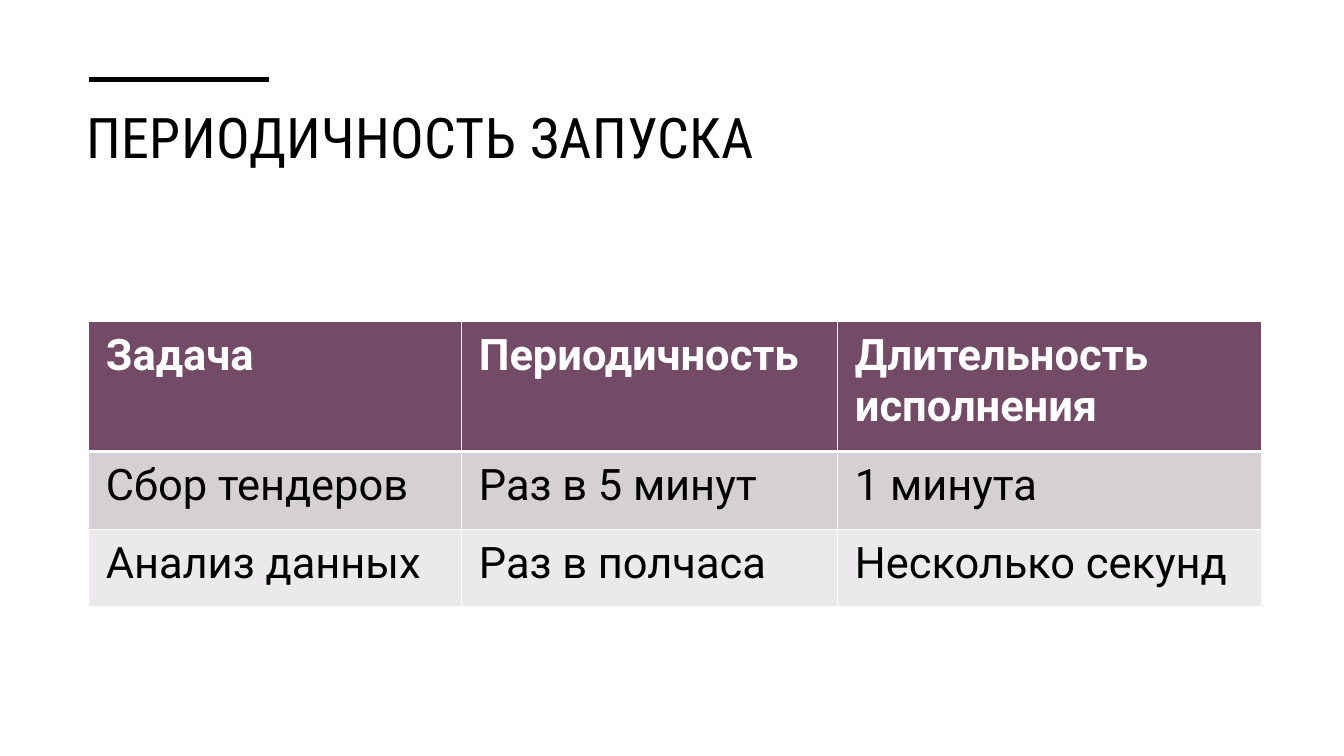
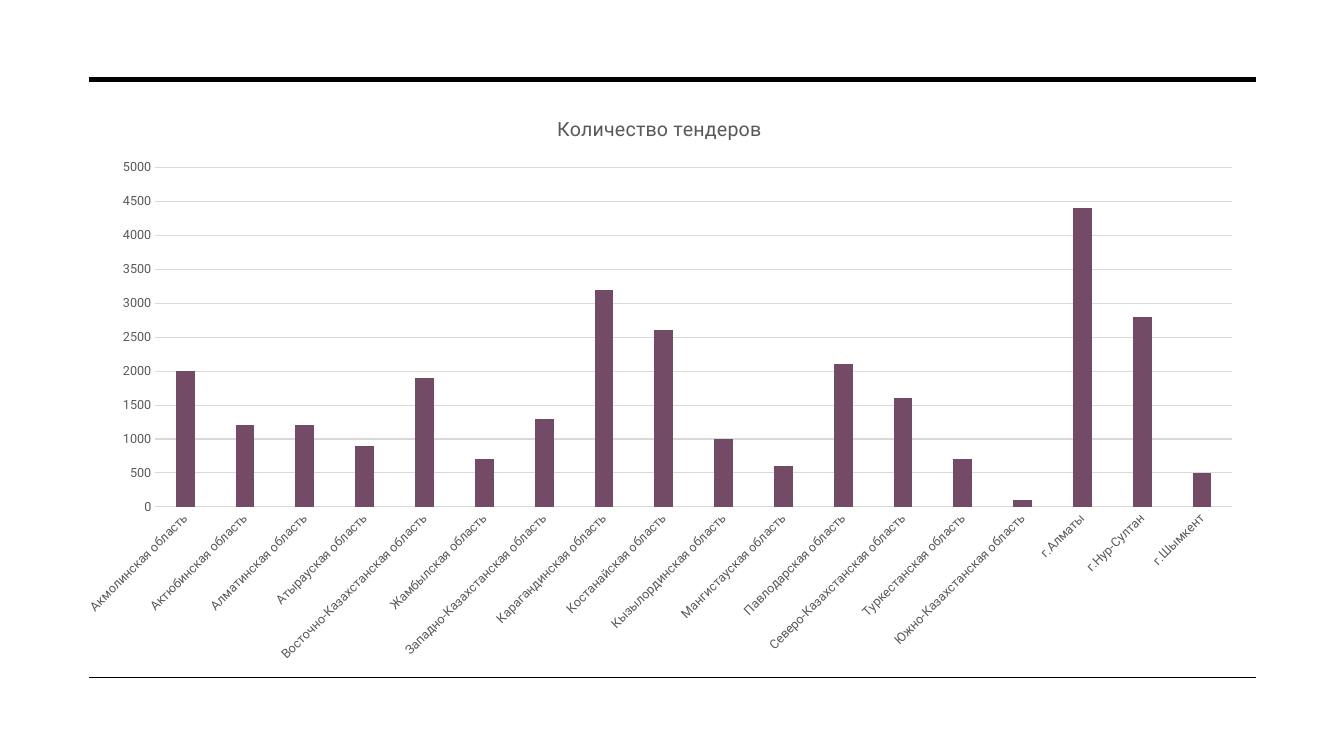
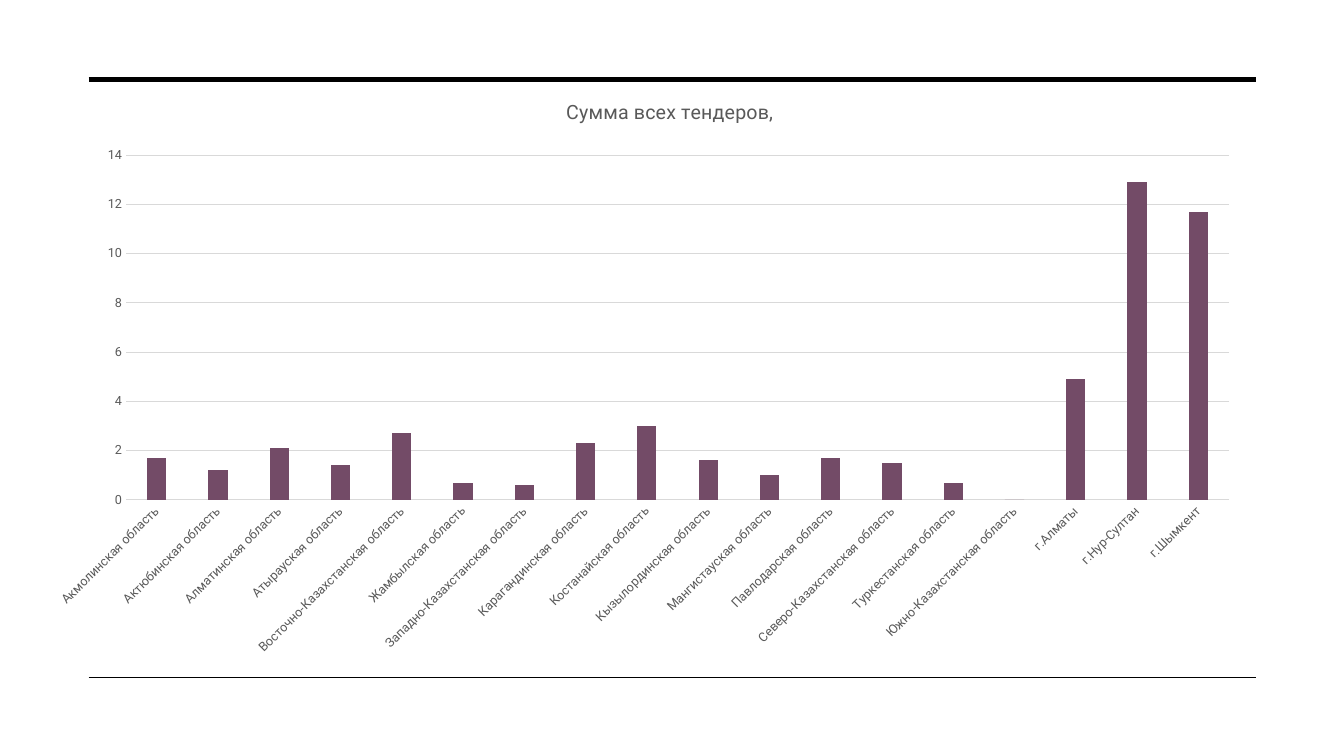
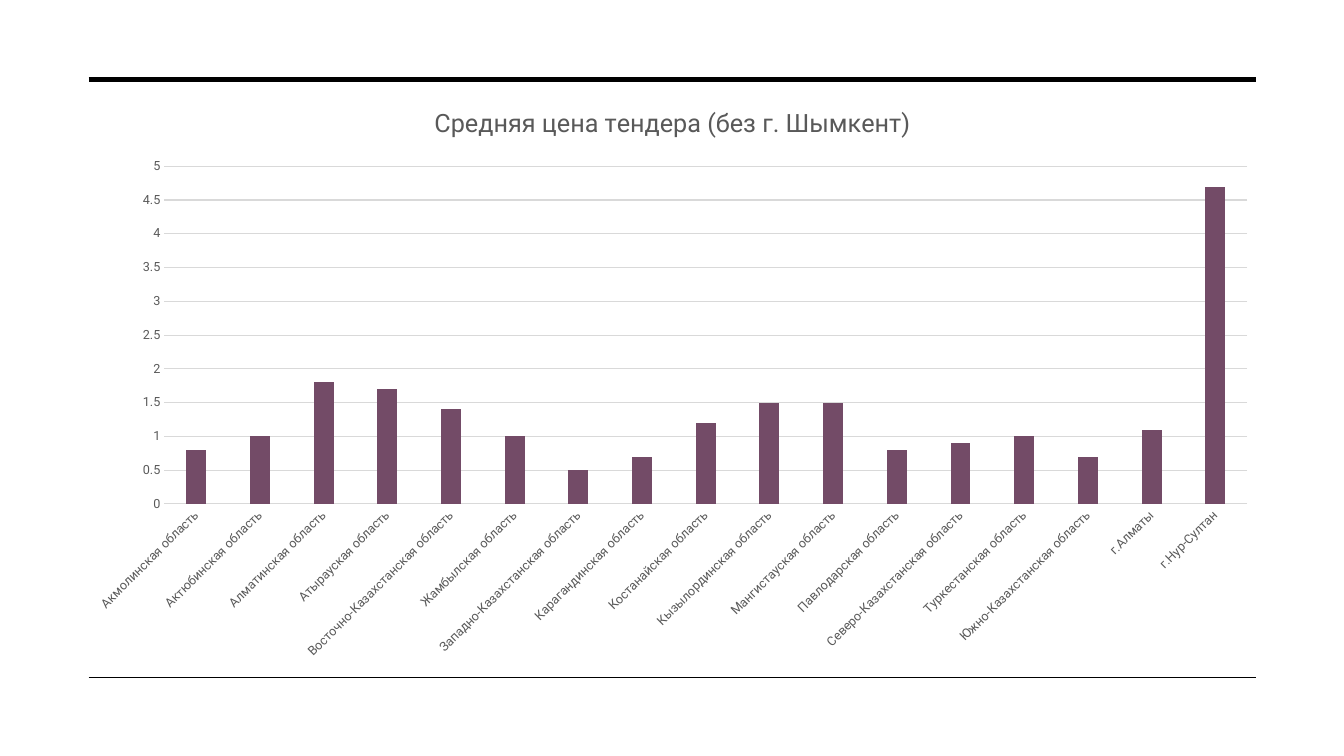
"""Build four slides on tenders: a schedule table and three column charts."""
from typing import NamedTuple, Optional

from lxml import etree
from pptx import Presentation
from pptx.chart.data import CategoryChartData as ChartData
from pptx.dml.color import RGBColor
from pptx.enum.chart import XL_CHART_TYPE as Kind, XL_TICK_MARK as Tick
from pptx.enum.shapes import MSO_CONNECTOR as Conn
from pptx.enum.text import MSO_ANCHOR as Anchor, PP_ALIGN as Align
from pptx.oxml import parse_xml
from pptx.oxml.ns import nsdecls, qn
from pptx.util import Inches, Pt

COLORS = {
    "ink": "000000", "paper": "FFFFFF", "plum": "734B67", "gray": "595959",
    "grid": "D9D9D9", "odd": "D5D0D3", "even": "EBE9EB",
}
BODY, HEAD = "Roboto", "Roboto Condensed"
LEFT, RIGHT, TOP, BASE = 0.88, 12.46, 0.79, 6.72

TASKS = [
    ("Задача", "Периодичность", "Длительность исполнения"),
    ("Сбор тендеров", "Раз в 5 минут", "1 минута"),
    ("Анализ данных", "Раз в полчаса", "Несколько секунд"),
]
AREAS = [f"{name} область" for name in (
    "Акмолинская", "Актюбинская", "Алматинская", "Атырауская",
    "Восточно-Казахстанская", "Жамбылская", "Западно-Казахстанская",
    "Карагандинская", "Костанайская", "Кызылординская", "Мангистауская",
    "Павлодарская", "Северо-Казахстанская", "Туркестанская",
    "Южно-Казахстанская")] + ["г.Алматы", "г.Нур-Султан", "г.Шымкент"]


class Box(NamedTuple):
    x: float
    y: float
    w: float
    h: float


class Graph(NamedTuple):
    title: str
    size: int
    frame: Box
    plot: Box
    top: float
    step: float
    vals: list
    spot: Optional[tuple] = None


GRAPHS = [
    Graph("Количество тендеров", 14, Box(0.62, 0.94, 11.84, 5.74),
          Box(1.54, 1.66, 10.68, 3.37), 5000, 500,
          [2000, 1200, 1200, 900, 1900, 700, 1300, 3200, 2600, 1000, 600,
           2100, 1600, 700, 100, 4400, 2800, 500]),
    Graph("Сумма всех тендеров,", 14, Box(0.34, 0.83, 12.09, 5.79),
          Box(1.25, 1.54, 10.94, 3.42), 14, 2,
          [1.7, 1.2, 2.1, 1.4, 2.7, 0.7, 0.6, 2.3, 3, 1.6, 1, 1.7, 1.5,
           0.7, 0, 4.9, 12.9, 11.7], (5.58, 0.94)),
    Graph("Средняя цена тендера (без г. Шымкент)", 18,
          Box(0.73, 0.84, 11.88, 5.81), Box(1.63, 1.65, 10.74, 3.35), 5, 0.5,
          [0.8, 1, 1.8, 1.7, 1.4, 1, 0.5, 0.7, 1.2, 1.5, 1.5, 0.8, 0.9, 1,
           0.7, 1.1, 4.7]),
]


def tint(key: str) -> RGBColor:
    return RGBColor.from_string(COLORS[key])


def style(font, size: float, key: str, face: str = BODY, bold: bool = False) -> None:
    font.name, font.size, font.bold = face, Pt(size), bold
    font.color.rgb = tint(key)


def rule(slide, y: float, end: float, width: float) -> None:
    line = slide.shapes.add_connector(
        Conn.STRAIGHT, Inches(LEFT), Inches(y), Inches(end), Inches(y))
    line.line.color.rgb = tint("ink")
    line.line.width = Pt(width)
    etree.SubElement(line._element.spPr, qn("a:effectLst"))


def edge(cell, side: str, width: float) -> None:
    cell._tc.get_or_add_tcPr().append(parse_xml(
        f'<a:ln{side} {nsdecls("a")} w="{Pt(width)}"><a:solidFill>'
        f'<a:srgbClr val="{COLORS["paper"]}"/></a:solidFill></a:ln{side}>'))


def add_title(slide, text: str) -> None:
    title = slide.shapes.title
    title.left, title.top = Inches(0.76), Inches(0.97)
    title.width, title.height = Inches(11.81), Inches(1.15)
    frame = title.text_frame
    frame.text = text
    frame.word_wrap, frame.vertical_anchor = True, Anchor.TOP
    para = frame.paragraphs[0]
    para.alignment = Align.LEFT
    style(para.font, 40, "ink", HEAD)
    para.runs[0]._r.get_or_add_rPr().set("spc", "30")


def add_tasks(slide) -> None:
    table = slide.shapes.add_table(
        3, 3, Inches(LEFT), Inches(3.19), Inches(11.63), Inches(2.83)).table
    for col, width in zip(table.columns, (3.7, 3.73, 4.2)):
        col.width = Inches(width)
    for i, (row, high) in enumerate(zip(table.rows, (1.29, 0.77, 0.77))):
        row.height = Inches(high)
        for cell, text in zip(row.cells, TASKS[i]):
            cell.text = text
            cell.margin_left = cell.margin_right = Inches(0.17)
            cell.margin_top = cell.margin_bottom = Inches(0.09)
            style(cell.text_frame.paragraphs[0].font, 31,
                  "ink" if i else "paper", bold=i == 0)
            for side in "LRTB":
                thick = (i, side) in ((0, "B"), (1, "T"))
                edge(cell, side, 3 if thick else 1)
            cell.fill.solid()
            cell.fill.fore_color.rgb = tint(("plum", "odd", "even")[i])


def layout(**parts) -> etree._Element:
    tags = "".join(f'<c:{tag} val="{val}"/>' for tag, val in parts.items())
    return parse_xml(f'<c:layout {nsdecls("c")}><c:manualLayout>{tags}'
                     '</c:manualLayout></c:layout>')


def place(node, new) -> None:
    old = node.find(qn("c:layout"))
    if old is not None:
        node.remove(old)
    text = node.find(qn("c:tx"))
    node.insert(0 if text is None else 1, new)


def add_graph(slide, graph: Graph) -> None:
    data = ChartData()
    data.categories = AREAS[:len(graph.vals)]
    data.add_series("Series 1", graph.vals)
    box, area = graph.frame, graph.plot
    chart = slide.shapes.add_chart(
        Kind.COLUMN_CLUSTERED, *(Inches(n) for n in box), data).chart
    style(chart.font, 10, "ink")
    chart.has_legend = False
    chart.has_title = True
    head = chart.chart_title
    head.text_frame.text = graph.title
    style(head.text_frame.paragraphs[0].font, graph.size, "gray")
    if graph.spot:
        x, y = graph.spot
        place(head._element, layout(
            xMode="edge", yMode="edge",
            x=(x - box.x) / box.w, y=(y - box.y) / box.h))

    plot = chart.plots[0]
    plot.gap_width, plot.overlap, plot.vary_by_categories = 219, -27, False
    fill = plot.series[0].format.fill
    fill.solid()
    fill.fore_color.rgb = tint("plum")
    place(chart._chartSpace.chart.plotArea, layout(
        layoutTarget="inner", xMode="edge", yMode="edge",
        x=(area.x - box.x) / box.w, y=(area.y - box.y) / box.h,
        w=area.w / box.w, h=area.h / box.h))

    cats, vals = chart.category_axis, chart.value_axis
    for axis in (cats, vals):
        axis.major_tick_mark = axis.minor_tick_mark = Tick.NONE
        style(axis.tick_labels.font, 9, "gray")
    vals.minimum_scale, vals.maximum_scale = 0, graph.top
    vals.major_unit = graph.step
    vals.format.line.fill.background()
    for line in (cats.format.line, vals.major_gridlines.format.line):
        line.color.rgb, line.width = tint("grid"), Pt(0.75)
    turn = cats._element.find(qn("c:txPr")).find(qn("a:bodyPr"))
    turn.set("rot", "-2700000")
    turn.set("vert", "horz")


def main() -> None:
    deck = Presentation()
    deck.slide_width, deck.slide_height = Inches(13.33), Inches(7.5)
    slide = deck.slides.add_slide(deck.slide_layouts[5])
    add_title(slide, "ПЕРИОДИЧНОСТЬ ЗАПУСКА")
    rule(slide, TOP, 2.67, 3.5)
    add_tasks(slide)
    for graph in GRAPHS:
        slide = deck.slides.add_slide(deck.slide_layouts[6])
        rule(slide, TOP, RIGHT, 3.5)
        rule(slide, BASE, RIGHT, 1)
        add_graph(slide, graph)
    deck.save("out.pptx")


if __name__ == "__main__":
    main()
